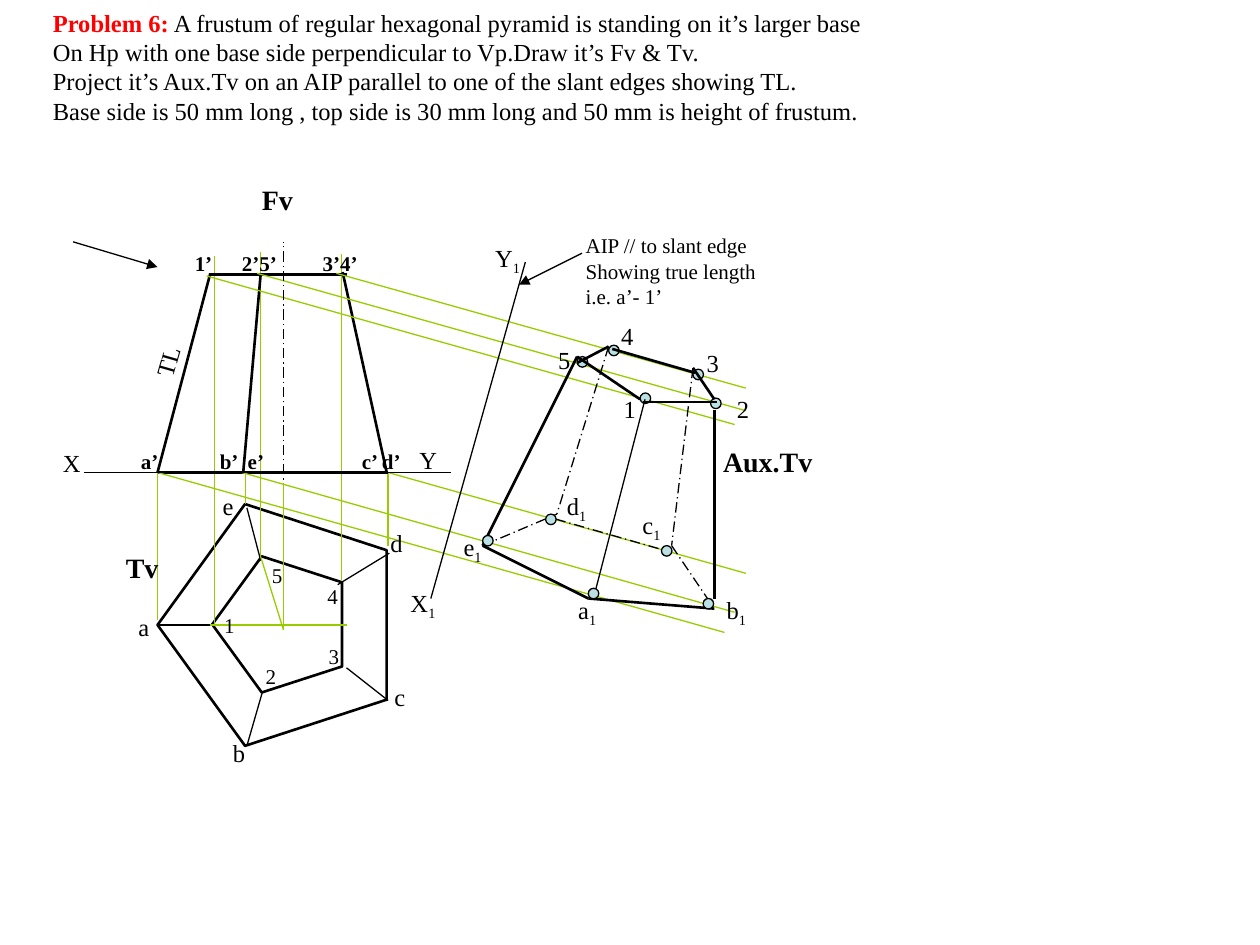
from typing import NamedTuple

import pptx
import pptx.dml.color
import pptx.enum.dml
import pptx.enum.shapes
import pptx.enum.text
import pptx.oxml
import pptx.oxml.ns
import pptx.util

Pt = pptx.util.Pt
COLORS = {"ink": "000000", "projector": "99CC00", "node": "BBE0E3",
          "paper": "FFFFFF", "problem": "FF0000"}
FONT = "Times New Roman"
THIN, THICK = 0.75, 1.5
NODE_SIZE = 6
GROUND = 270
AXIS = 162


class Line(NamedTuple):
    x1: float
    y1: float
    x2: float
    y2: float
    width: float = THIN
    color: str = "ink"
    dashed: bool = False
    arrow: bool = False


class Label(NamedTuple):
    text: str
    x: float
    y: float
    w: float
    h: float = 24
    size: float = 14
    bold: bool = False
    sub: str = ""
    rotation: float = 0
    tabs: tuple = ()


def rgb(name: str) -> pptx.dml.color.RGBColor:
    return pptx.dml.color.RGBColor.from_string(COLORS[name])


def drawingml(tag: str, **attributes: str):
    e = pptx.oxml.parse_xml(f"<a:{tag} {pptx.oxml.ns.nsdecls('a')}/>")
    for key, value in attributes.items():
        e.set(key, value)
    return e


def draw_line(s, line: Line) -> None:
    c = s.shapes.add_connector(pptx.enum.shapes.MSO_CONNECTOR.STRAIGHT,
                               Pt(line.x1), Pt(line.y1), Pt(line.x2), Pt(line.y2))
    c.line.color.rgb = rgb(line.color)
    c.line.width = Pt(line.width)
    if line.dashed:
        c.line.dash_style = pptx.enum.dml.MSO_LINE.LONG_DASH_DOT
    if line.arrow:
        c.line._get_or_add_ln().append(drawingml("tailEnd", type="triangle"))
    c._element.spPr.append(drawingml("effectLst"))


def draw_lines(s, ends, **style) -> None:
    for end in ends:
        draw_line(s, Line(*end, **style))


def draw_shape(s, kind, x: float, y: float, w: float, h: float,
               fill: str, width: float, rotation: float = 0) -> None:
    sp = s.shapes.add_shape(kind, Pt(x), Pt(y), Pt(w), Pt(h))
    sp.shadow.inherit = False
    sp.rotation = rotation
    sp.fill.solid()
    sp.fill.fore_color.rgb = rgb(fill)
    sp.line.color.rgb = rgb("ink")
    sp.line.width = Pt(width)


def draw_nodes(s, corners) -> None:
    for x, y in corners:
        draw_shape(s, pptx.enum.shapes.MSO_SHAPE.OVAL, x, y,
                   NODE_SIZE, NODE_SIZE, "node", THIN)


def format_run(r, size: float, bold: bool = False, color: str = "ink") -> None:
    r.font.name = FONT
    r.font.size = Pt(size)
    r.font.bold = bold
    r.font.color.rgb = rgb(color)


def draw_label(s, label: Label) -> None:
    sp = s.shapes.add_textbox(Pt(label.x), Pt(label.y), Pt(label.w), Pt(label.h))
    sp.rotation = label.rotation
    tf = sp.text_frame
    tf.word_wrap = bool(label.tabs)
    tf.text = label.text
    if label.tabs:
        tab_list = drawingml("tabLst")
        for stop in label.tabs:
            tab_list.append(drawingml("tab", pos=str(int(Pt(stop))), algn="l"))
        tf.paragraphs[0]._p.get_or_add_pPr().append(tab_list)
    if label.sub:
        r = tf.paragraphs[0].add_run()
        r.text = label.sub
        r._r.get_or_add_rPr().set("baseline", "-25000")
    for p in tf.paragraphs:
        for r in p.runs:
            format_run(r, label.size, label.bold)


def draw_problem(s) -> None:
    sp = s.shapes.title
    sp.left, sp.top, sp.width, sp.height = Pt(23), Pt(0.7), Pt(478), Pt(74.2)
    tf = sp.text_frame
    tf.word_wrap = False
    tf.auto_size = pptx.enum.text.MSO_AUTO_SIZE.NONE
    tf.vertical_anchor = pptx.enum.text.MSO_ANCHOR.TOP
    tf.text = "\n".join([
        "Problem 6:",
        "On Hp with one base side perpendicular to Vp.Draw it’s Fv & Tv.",
        "Project it’s Aux.Tv on an AIP parallel to one of the slant edges showing TL.",
        "Base side is 50 mm long , top side is 30 mm long and 50 mm is height of frustum."])
    lead = tf.paragraphs[0].add_run()
    lead.text = " A frustum of regular hexagonal pyramid is standing on it’s larger base"
    for p in tf.paragraphs:
        p.alignment = pptx.enum.text.PP_ALIGN.LEFT
        for r in p.runs:
            format_run(r, 14)
    format_run(tf.paragraphs[0].runs[0], 14, True, "problem")


def draw_top_view(s) -> None:
    pentagon = pptx.enum.shapes.MSO_SHAPE.REGULAR_PENTAGON
    draw_shape(s, pentagon, 86.4, 291.6, 138.2, 131, "paper", THICK, 270)
    draw_shape(s, pentagon, 119.5, 319.7, 77.8, 74.2, "paper", THICK, 270)
    draw_lines(s, [(90.7, 357.1, 120.2, 357.1), (198, 381.6, 221.8, 400.3),
                   (193, 334.1, 222.5, 316.1), (149.8, 396, 141.1, 426.2),
                   (141.1, 290.2, 149, 320.4)])
    draw_lines(s, [(120.2, 357.1, 198, 357.1), (149, 318.2, AXIS, 360)], color="projector")


def draw_front_view(s) -> None:
    verticals = [(90, 354.2, GROUND), (140.4, 288, GROUND), (221.8, 311.8, GROUND),
                 (122.4, 356.4, 146.2), (149, 318.2, 144), (195.1, 331.2, 145.4)]
    draw_lines(s, [(x, low, x, high) for x, low, high in verticals], color="projector")
    draw_lines(s, [(120.2, 157, 198, 157), (120.2, 156.2, 90, GROUND),
                   (149, 156.2, 139, GROUND), (195.8, 155.5, 221, GROUND),
                   (90, GROUND, 221.8, GROUND)], width=THICK)


def draw_auxiliary_view(s) -> None:
    draw_lines(s, [(192.2, 156.2, 426.2, 221.8), (146.9, 156.2, 426.2, 234.7),
                   (118.1, 157.7, 419.8, 242.6), (221.8, GROUND, 426.2, 327.6),
                   (138.2, GROUND, 419.8, 349.9), (90, GROUND, 414, 361.4)],
               color="projector")
    draw_nodes(s, [(365.8, 224.6), (329.8, 203.8), (406.1, 227.5),
                   (347.8, 197.3), (396, 211)])
    draw_lines(s, [(329.8, 203.8, 275.8, 311.8), (275.8, 311.8, 336.2, 342),
                   (336.2, 342, 408.2, 347.8), (408.2, 342, 408.2, 234),
                   (329.8, 203.8, 365.8, 228.2), (367.2, 229.7, 409.7, 229.7),
                   (408.2, 228.2, 396, 210.2), (397.4, 213.1, 349.9, 199.4),
                   (347.8, 198, 329.8, 207.4)], width=THICK)
    draw_line(s, Line(368.6, 228.2, 339.1, 342))
    draw_lines(s, [(275.8, 311.8, 318.2, 293.8), (317.5, 296.6, 383, 315.4),
                   (383.8, 311.8, 408.2, 347.8), (347.8, 198, 318.2, 293.8),
                   (396, 210.2, 383.8, 311.8)], dashed=True)
    draw_nodes(s, [(275.8, 306), (336.2, 336.2), (401.8, 342),
                   (311.8, 293.8), (378, 311.8)])


def draw_reference_lines(s) -> None:
    draw_lines(s, [(41.8, 138.2, 90, 152.6), (332.6, 144.7, 296.6, 162.7)], arrow=True)
    draw_lines(s, [(48.2, GROUND, 257.8, GROUND), (300.2, 149.8, 246.2, 342)])
    draw_line(s, Line(AXIS, 282.2, AXIS, 138.2, dashed=True))
    draw_line(s, Line(AXIS, 275.8, AXIS, 360, color="projector"))


def draw_labels(s) -> None:
    labels = [
        Label("TL", 79.9, 194.4, 31.7, rotation=286.1),
        Label("AIP // to slant edge\nShowing true length\ni.e. a’- 1’",
              327.6, 129.6, 112.3, 50.4, 12),
        Label("a’\tb’\te’\tc’ d’", 73.4, 252.7, 165, 21.6, 12, True, tabs=(45.1, 61.1, 126.3)),
        Label("1’\t2’5’\t3’4’", 104.2, 139.7, 110, 21.6, 12, True, tabs=(26.9, 73.1)),
        Label("Fv", 142.6, 100.8, 32.4, 26.6, 16, True),
        Label("Tv", 64.8, 311, 33.1, 26.6, 16, True),
        Label("Aux.Tv", 406.1, 250.6, 65.5, 26.6, 16, True)]
    inner = [("1", 121, 346.3), ("2", 144.7, 375.8), ("3", 180.7, 364.3),
             ("4", 180, 329.8), ("5", 148.3, 318.2)]
    outer = [("X", 28.8, 252.7), ("Y", 232.6, 250.6),
             ("a", 72, 346.3), ("b", 126, 418.3), ("c", 218.2, 385.9),
             ("d", 216, 298.1), ("e", 120.2, 277.2),
             ("1", 349.2, 221.8), ("2", 414, 221.8), ("3", 396.7, 195.1),
             ("4", 347.8, 180), ("5", 311.8, 193.7)]
    projected = [("X", 227.5, 332.6, 28.8), ("Y", 275.8, 135.4, 28.8),
                 ("a", 323.3, 336.2, 25.5), ("b", 408.2, 336.2, 25.5),
                 ("c", 360, 288, 25.5), ("d", 316.8, 277.2, 25.5),
                 ("e", 257.8, 300.2, 25.5)]
    labels += [Label(text, x, y, 20.2, 21.6, 12) for text, x, y in inner]
    labels += [Label(text, x, y, 21.4) for text, x, y in outer]
    labels += [Label(*place, sub="1") for place in projected]
    for label in labels:
        draw_label(s, label)


def main() -> None:
    prs = pptx.Presentation()
    prs.slide_width, prs.slide_height = Pt(720), Pt(540)
    s = prs.slides.add_slide(prs.slide_layouts[5])
    draw_problem(s)
    draw_top_view(s)
    draw_front_view(s)
    draw_auxiliary_view(s)
    draw_reference_lines(s)
    draw_labels(s)
    prs.save("out.pptx")


if __name__ == "__main__":
    main()
